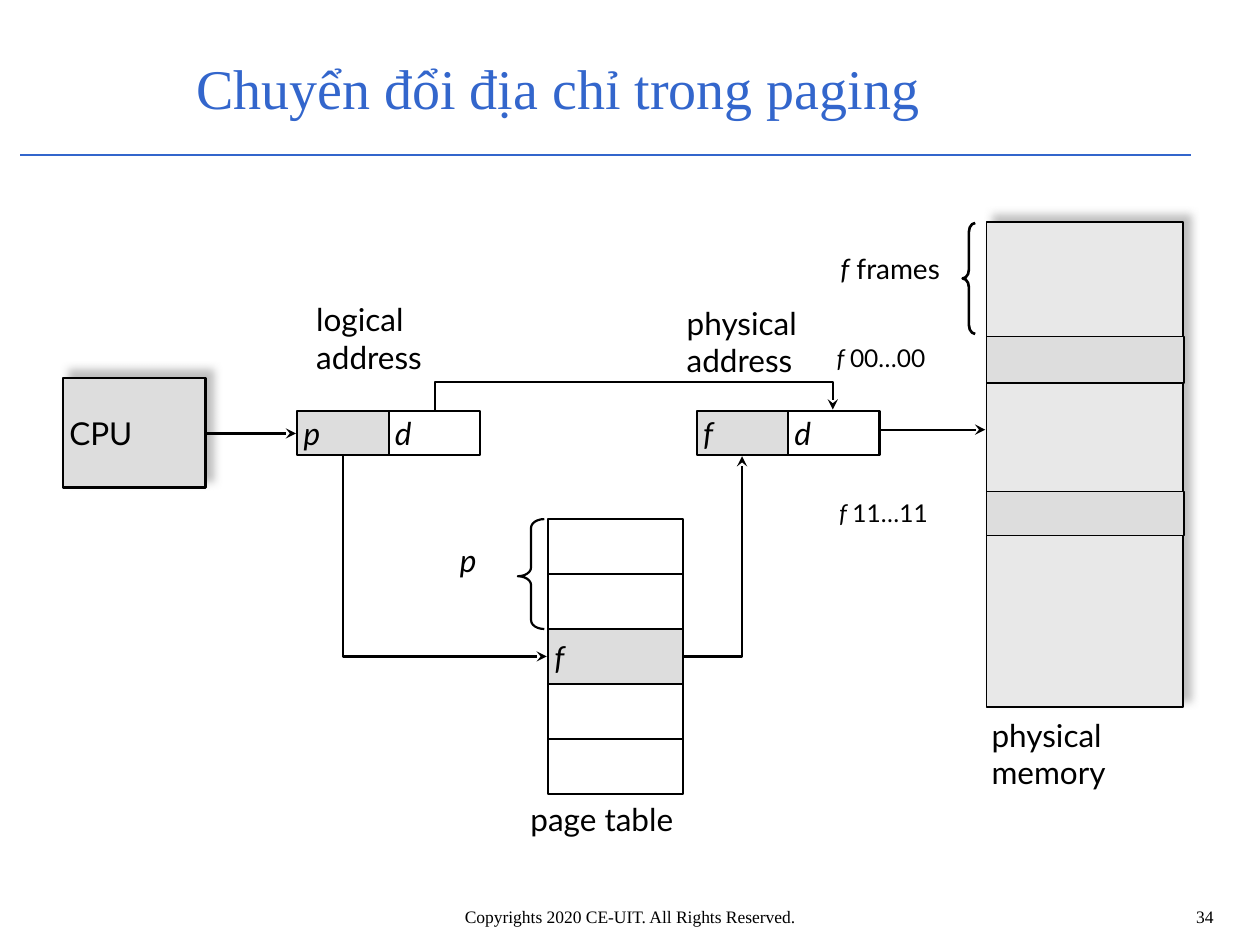
from lxml import etree
from pptx import Presentation
from pptx.dml.color import RGBColor
from pptx.enum.shapes import MSO_CONNECTOR, MSO_SHAPE
from pptx.enum.text import MSO_ANCHOR, PP_ALIGN
from pptx.oxml.ns import qn
from pptx.util import Inches, Pt

RECTANGLE = MSO_SHAPE.RECTANGLE
LEFT_BRACE = MSO_SHAPE.LEFT_BRACE
STRAIGHT = MSO_CONNECTOR.STRAIGHT
TOP, MIDDLE = MSO_ANCHOR.TOP, MSO_ANCHOR.MIDDLE
LEFT, CENTER, RIGHT = PP_ALIGN.LEFT, PP_ALIGN.CENTER, PP_ALIGN.RIGHT

COLORS = {
    "title": "3366CC",
    "ink": "000000",
    "cell": "DDDDDD",
    "memory": "E8E8E8",
    "shadow": "808080",
}
DIAGRAM_FONT = "Lato"
FRAME_FONT = "Times New Roman"


def color(name):
    return RGBColor.from_string(COLORS[name])


def write(shape, paragraphs, size, font=DIAGRAM_FONT, ink="ink", align=LEFT,
          anchor=TOP, inset=(0, 0)):
    """Fill a shape with paragraphs, each a list of (text, italic) runs."""
    frame = shape.text_frame
    frame.word_wrap = True
    frame.vertical_anchor = anchor
    frame.margin_left = frame.margin_right = Inches(inset[0])
    frame.margin_top = frame.margin_bottom = Inches(inset[1])
    for index, runs in enumerate(paragraphs):
        paragraph = frame.add_paragraph() if index else frame.paragraphs[0]
        paragraph.alignment = align
        for text, italic in runs:
            run = paragraph.add_run()
            run.text = text
            run.font.name = font
            run.font.size = Pt(size)
            run.font.italic = italic
            run.font.color.rgb = color(ink)


def add_label(slide, left, top, width, height, paragraphs, size=18, **style):
    box = slide.shapes.add_textbox(*map(Inches, (left, top, width, height)))
    write(box, paragraphs, size, **style)


def set_outline(shape, width, ink="ink"):
    shape.line.color.rgb = color(ink)
    shape.line.width = Pt(width)


def add_cell(slide, left, top, width, height, fill=None, text="", italic=True,
             line_width=1.25):
    cell = slide.shapes.add_shape(RECTANGLE, *map(Inches, (left, top, width, height)))
    cell.shadow.inherit = False
    if fill:
        cell.fill.solid()
        cell.fill.fore_color.rgb = color(fill)
    else:
        cell.fill.background()
    set_outline(cell, line_width)
    if text:
        write(cell, [[(text, italic)]], 18, anchor=MIDDLE, inset=(0.05, 0))
    return cell


def add_drop_shadow(shape):
    effects = shape.element.spPr.find(qn("a:effectLst"))
    shadow = etree.SubElement(effects, qn("a:outerShdw"), blurRad=str(Pt(5)),
                              dist=str(Pt(5.7)), dir=str(315 * 60000))
    tint = etree.SubElement(shadow, qn("a:srgbClr"), val=COLORS["shadow"])
    etree.SubElement(tint, qn("a:alpha"), val="50000")


def add_brace(slide, left, top, width, height, curve, point, line_width):
    brace = slide.shapes.add_shape(LEFT_BRACE, *map(Inches, (left, top, width, height)))
    brace.shadow.inherit = False
    brace.fill.background()
    brace.adjustments[0], brace.adjustments[1] = curve, point
    set_outline(brace, line_width)


def add_arrowhead(shape):
    etree.SubElement(shape.line._get_or_add_ln(), qn("a:tailEnd"), type="stealth")


def add_line(slide, start, end, width, ink="ink"):
    line = slide.shapes.add_connector(STRAIGHT, *map(Inches, start + end))
    set_outline(line, width, ink)
    etree.SubElement(line.element.spPr, qn("a:effectLst"))
    return line


def add_route(slide, *points):
    """Draw an arrow that turns at each of the given points."""
    start, *corners = [tuple(map(Inches, point)) for point in points]
    builder = slide.shapes.build_freeform(*start)
    builder.add_line_segments(corners, close=False)
    route = builder.convert_to_shape()
    route.shadow.inherit = False
    route.fill.background()
    set_outline(route, 1.25)
    add_arrowhead(route)


def draw_frame(slide):
    """Title, rule and footer."""
    add_line(slide, (0.16, 1.23), (9.45, 1.23), 0.75, "title")
    margins = {"font": FRAME_FONT, "inset": (0.1, 0.05)}
    add_label(slide, 1.46, 0.31, 8.04, 0.76,
              [[("Chuyển đổi địa chỉ trong paging", False)]], 32,
              ink="title", anchor=MIDDLE, **margins)
    add_label(slide, 1.93, 7.14, 6.14, 0.32,
              [[("Copyrights 2020 CE-UIT. All Rights Reserved.", False)]], 10,
              align=CENTER, **margins)
    add_label(slide, 7.81, 7.14, 1.92, 0.32, [[("34", False)]], 10,
              align=RIGHT, **margins)


def draw_cpu(slide, left, top, width, height):
    add_drop_shadow(add_cell(slide, left, top, width, height, "cell", "CPU",
                             italic=False, line_width=1.5))


def draw_address(slide, left, top, width, height, number, kind, label_offset):
    """A page or frame number beside its offset d, with a label above."""
    half = width / 2
    add_cell(slide, left, top, half, height, "cell", number)
    add_cell(slide, left + half, top, half, height, text="d")
    add_label(slide, left + label_offset[0], top + label_offset[1], 1.12, 0.71,
              [[(kind, False)], [("address", False)]])


def draw_page_table(slide, left, top, width, height):
    row_height = height / 5
    for row in range(5):
        entry = {"fill": "cell", "text": "f"} if row == 2 else {}
        add_cell(slide, left, top + row * row_height, width, row_height, **entry)
    add_brace(slide, left - 0.24, top, 0.21, 2 * row_height, 0.33, 0.52, 1.25)
    add_label(slide, left - 0.7, top + 0.17, 0.25, 0.4, [[("p", True)]])
    add_label(slide, left - 0.14, top + height + 0.05, 1.28, 0.4,
              [[("page table", False)]])


def draw_memory(slide, left, top, width, height):
    add_drop_shadow(add_cell(slide, left, top, width, height, "memory", line_width=1))
    frames = [("00…00", 0.91, 0.37, -1.24), ("11…11", 2.14, 0.35, -1.22)]
    for address, offset, frame_height, label_left in frames:
        add_cell(slide, left, top + offset, width + 0.01, frame_height, "cell",
                 line_width=1)
        add_label(slide, left + label_left, top + offset, 0.87, 0.34,
                  [[("f ", True), (address, False)]], 14, anchor=MIDDLE,
                  inset=(0.05, 0.05))
    add_brace(slide, left - 0.19, top + 0.01, 0.1, 0.88, 0.7, 0.5, 1.5)
    add_label(slide, left - 1.16, top + 0.24, 0.91, 0.36,
              [[("f", True), (" frames", False)]], 16)
    add_label(slide, left + 0.04, top + height + 0.07, 1.34, 0.71,
              [[("physical", False)], [("memory", False)]])


def draw_routes(slide):
    add_route(slide, (1.64, 3.44), (2.35, 3.44))
    add_route(slide, (3.45, 3.25), (3.45, 3.03), (6.61, 3.03), (6.61, 3.25))
    add_route(slide, (2.72, 3.62), (2.72, 5.21), (4.34, 5.21))
    add_route(slide, (5.43, 5.21), (5.89, 5.21), (5.89, 3.62))
    add_arrowhead(add_line(slide, (6.99, 3.41), (7.82, 3.41), 1.25))


def main():
    presentation = Presentation()
    presentation.slide_width, presentation.slide_height = Inches(10), Inches(7.5)
    slide = presentation.slides.add_slide(presentation.slide_layouts[6])
    draw_frame(slide)
    draw_cpu(slide, 0.5, 3, 1.13, 0.87)
    draw_address(slide, 2.36, 3.26, 1.45, 0.35, "p", "logical", (0.15, -0.88))
    draw_address(slide, 5.53, 3.26, 1.45, 0.35, "f", "physical", (-0.08, -0.85))
    draw_page_table(slide, 4.35, 4.12, 1.07, 2.18)
    draw_memory(slide, 7.83, 1.76, 1.56, 3.85)
    draw_routes(slide)
    presentation.save("out.pptx")


if __name__ == "__main__":
    main()
